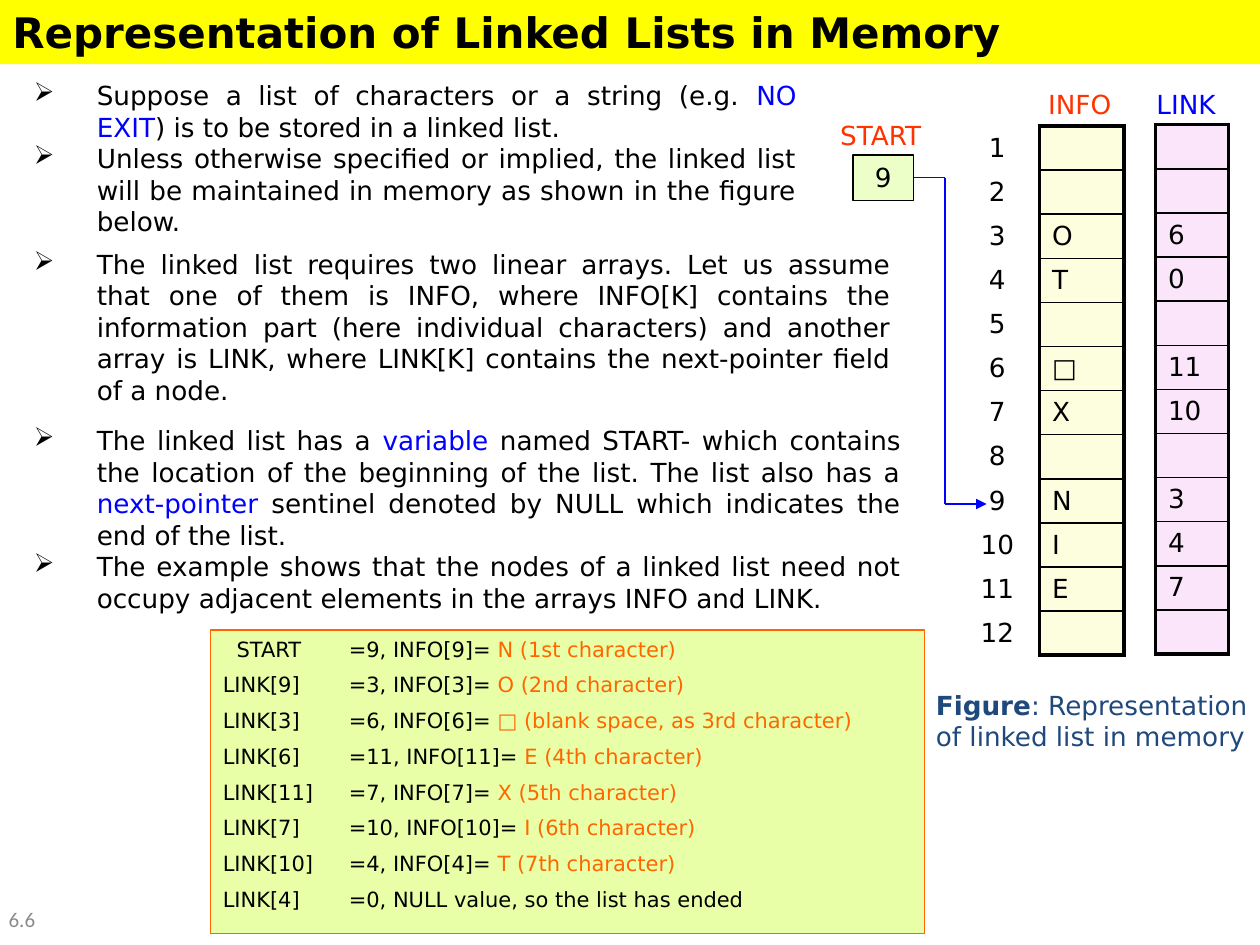
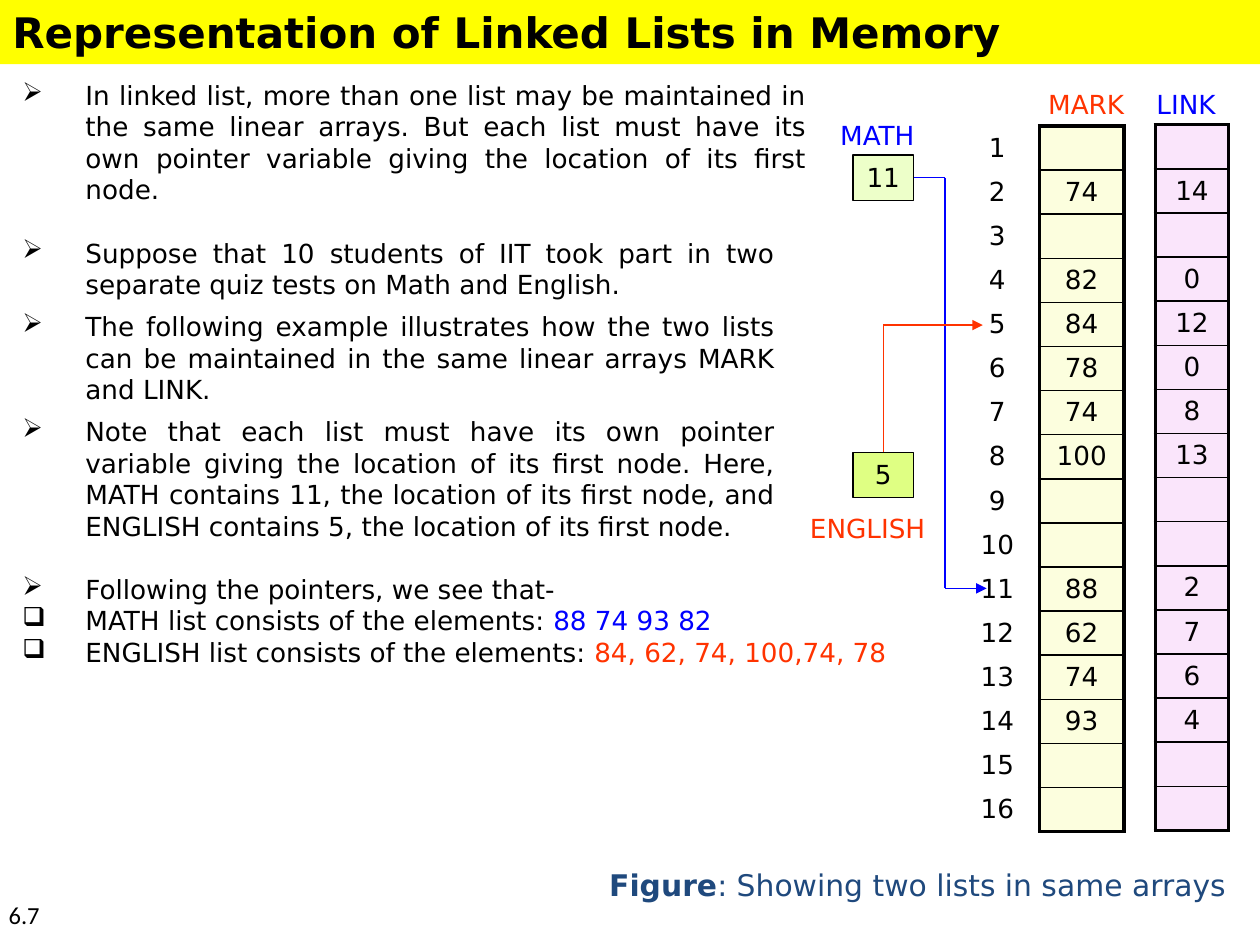
from lxml import etree
from pptx import Presentation
from pptx.dml.color import RGBColor
from pptx.enum.shapes import MSO_CONNECTOR, MSO_SHAPE
from pptx.enum.text import MSO_ANCHOR as Anchor, PP_ALIGN as Align
from pptx.oxml.ns import qn
from pptx.util import Inches, Pt

BLACK = RGBColor(0x00, 0x00, 0x00)
BLUE = RGBColor(0x00, 0x00, 0xFF)
RED = RGBColor(0xFF, 0x33, 0x00)
ORANGE = RGBColor(0xFF, 0x66, 0x00)
NAVY = RGBColor(0x1F, 0x49, 0x7D)
GRAY = RGBColor(0x8C, 0x8C, 0x8C)
YELLOW = RGBColor(0xFF, 0xFF, 0x00)
CREAM = RGBColor(0xFC, 0xFE, 0xDE)
PINK = RGBColor(0xFA, 0xE5, 0xFB)
PALE_GREEN = RGBColor(0xED, 0xFF, 0xC9)
LIME = RGBColor(0xDF, 0xFF, 0x83)
TRACE_GREEN = RGBColor(0xE8, 0xFF, 0xA7)

FONT = "DejaVu Sans"
TITLE = "Representation of Linked Lists in Memory"
ARROW, SQUARE = "➢", "❑"
ROW = 0.35
POINTER_SIZE = (0.48, 0.36)

MEMORY_TEXT = [
    ((0.17, 0.58, 6.25, 1.35), 0, [
        (ARROW, ["Suppose a list of characters or a string (e.g. ", ("NO EXIT", BLUE),
                 ") is to be stored in a linked list."]),
        (ARROW, ["Unless otherwise specified or implied, the linked list will be maintained "
                 "in memory as shown in the figure below."]),
    ]),
    ((0.17, 1.92, 7, 1.35), 0, [
        (ARROW, ["The linked list requires two linear arrays. Let us assume that one of them is "
                 "INFO, where INFO[K] contains the information part (here individual characters) "
                 "and another array is LINK, where LINK[K] contains the next-pointer field of a "
                 "node."]),
    ]),
    ((0.17, 3.32, 7.08, 1.6), 0, [
        (ARROW, ["The linked list has a ", ("variable", BLUE),
                 " named START- which contains the location of the beginning of the list. "
                 "The list also has a ", ("next-pointer", BLUE),
                 " sentinel denoted by NULL which indicates the end of the list."]),
        (ARROW, ["The example shows that the nodes of a linked list need not occupy adjacent "
                 "elements in the arrays INFO and LINK."]),
    ]),
]
TWO_LISTS_TEXT = [
    ((0.08, 0.58, 6.42, 1.1), 3, [
        (ARROW, ["In linked list, more than one list may be maintained in the same linear "
                 "arrays. But each list must have its own pointer variable giving the location "
                 "of its first node."]),
    ]),
    ((0.08, 1.83, 6.17, 2.55), 3, [
        (ARROW, ["Suppose that 10 students of IIT took part in two separate quiz tests on Math "
                 "and English."]),
        (ARROW, ["The following example illustrates how the two lists can be maintained in the "
                 "same linear arrays MARK and LINK."]),
        (ARROW, ["Note that each list must have its own pointer variable giving the location of "
                 "its first node. Here, MATH contains 11, the location of its first node, and "
                 "ENGLISH contains 5, the location of its first node."]),
    ]),
    ((0.08, 4.5, 7.5, 0.85), 0, [
        (ARROW, ["Following the pointers, we see that-"]),
        (SQUARE, ["MATH list consists of the elements: ", ("88 74 93 82", BLUE)]),
        (SQUARE, ["ENGLISH list consists of the elements: ", ("84, 62, 74, 100,74, 78", RED)]),
    ]),
]
TRACE = [
    ("START", "=9, INFO[9]= ", "N (1st character)"),
    ("LINK[9]", "=3, INFO[3]= ", "O (2nd character)"),
    ("LINK[3]", "=6, INFO[6]= ", "□ (blank space, as 3rd character)"),
    ("LINK[6]", "=11, INFO[11]= ", "E (4th character)"),
    ("LINK[11]", "=7, INFO[7]= ", "X (5th character)"),
    ("LINK[7]", "=10, INFO[10]= ", "I (6th character)"),
    ("LINK[10]", "=4, INFO[4]= ", "T (7th character)"),
    ("LINK[4]", "=0, NULL value, so the list has ended", ""),
]
INFO_CELLS = {3: "O", 4: "T", 6: "□", 7: "X", 9: "N", 10: "I", 11: "E"}
INFO_LINKS = {3: 6, 4: 0, 6: 11, 7: 10, 9: 3, 10: 4, 11: 7}
MARK_CELLS = {2: 74, 4: 82, 5: 84, 6: 78, 7: 74, 8: 100, 11: 88, 12: 62, 13: 74, 14: 93}
MARK_LINKS = {2: 14, 4: 0, 5: 12, 6: 0, 7: 8, 8: 13, 11: 2, 12: 7, 13: 6, 14: 4}


def inches(values):
    return [Inches(value) for value in values]


def style(para, size=15, color=BLACK, align=Align.LEFT, bold=False, font=FONT):
    para.alignment = align
    para.font.name = font
    para.font.size = Pt(size)
    para.font.bold = bold
    para.font.color.rgb = color


def add_spans(para, parts):
    for part in parts:
        words, color = part if isinstance(part, tuple) else (part, None)
        span = para.add_run()
        span.text = words
        if color is not None:
            span.font.color.rgb = color


def add_text(page, place, words, **look):
    box = page.shapes.add_textbox(*inches(place))
    box.text_frame.word_wrap = True
    para = box.text_frame.paragraphs[0]
    add_spans(para, [words])
    style(para, **look)
    return box


def add_box(page, place, fill, line=None):
    box = page.shapes.add_shape(MSO_SHAPE.RECTANGLE, *inches(place))
    box.shadow.inherit = False
    box.fill.solid()
    box.fill.fore_color.rgb = fill
    if line is None:
        box.line.fill.background()
    else:
        box.line.color.rgb = line
        box.line.width = Pt(0.75)
    box.text_frame.word_wrap = True
    box.text_frame.vertical_anchor = Anchor.TOP
    return box


def add_paragraphs(frame, count):
    return [frame.paragraphs[0]] + [frame.add_paragraph() for _ in range(count - 1)]


def add_bullets(page, place, gap, items):
    frame = page.shapes.add_textbox(*inches(place)).text_frame
    frame.word_wrap = True
    for index, (para, (bullet, parts)) in enumerate(
            zip(add_paragraphs(frame, len(items)), items)):
        para.level = 1
        props = para._p.get_or_add_pPr()
        props.set("marL", str(Inches(0.5)))
        props.set("indent", str(Inches(-0.5)))
        etree.SubElement(props, qn("a:buChar")).set("char", bullet)
        para.space_before = Pt(gap if index else 0)
        para.space_after = Pt(gap)
        add_spans(para, parts)
        style(para, align=Align.JUSTIFY)


def add_border(cell, side, width):
    line = etree.SubElement(cell._tc.get_or_add_tcPr(), qn("a:ln" + side), w=str(Pt(width)))
    fill = etree.SubElement(line, qn("a:solidFill"))
    etree.SubElement(fill, qn("a:srgbClr"), val=str(BLACK))


def add_column(page, left, top, width, values, fill=None, align=Align.CENTER):
    count = len(values)
    place = inches((left, top, width, ROW * count))
    table = page.shapes.add_table(count, 1, *place).table
    table.first_row = table.horz_banding = False
    for index, value in enumerate(values):
        table.rows[index].height = Inches(ROW)
        cell = table.cell(index, 0)
        cell.margin_top = cell.margin_bottom = Inches(0.02)
        cell.vertical_anchor = Anchor.MIDDLE
        if fill is None:
            cell.fill.background()
        else:
            add_border(cell, "L", 2.25)
            add_border(cell, "R", 2.25)
            add_border(cell, "T", 1 if index else 2.25)
            add_border(cell, "B", 1 if index < count - 1 else 2.25)
            cell.fill.solid()
            cell.fill.fore_color.rgb = fill
        para = cell.text_frame.paragraphs[0]
        if value != "":
            add_spans(para, [str(value)])
        style(para, align=align)


def add_arrays(page, count, heading, cells, links, align):
    slots = range(1, count + 1)
    add_column(page, 7.67, 1, 0.49, slots)
    add_column(page, 8.25, 1, 0.67, [cells.get(slot, "") for slot in slots], CREAM, align)
    add_column(page, 9.17, 0.99, 0.58, [links.get(slot, "") for slot in slots], PINK, align)
    add_text(page, (8.22, 0.65, 0.92, 0.35), heading, color=RED)
    add_text(page, (9.08, 0.65, 0.92, 0.35), "LINK", color=BLUE)


def add_pointer(page, left, top, value, fill):
    box = add_box(page, (left, top, *POINTER_SIZE), fill, BLACK)
    para = box.text_frame.paragraphs[0]
    add_spans(para, [value])
    style(para, align=Align.CENTER)
    return box


def add_path(page, box, site, points, color):
    legs = list(zip(points, points[1:]))
    for index, (start, end) in enumerate(legs):
        leg = page.shapes.add_connector(MSO_CONNECTOR.STRAIGHT, *inches(start + end))
        if index == 0:
            leg.begin_connect(box, site)
        leg.line.color.rgb = color
        leg.line.width = Pt(0.75)
        if index == len(legs) - 1:
            etree.SubElement(leg.line._get_or_add_ln(), qn("a:tailEnd"), type="triangle")
        etree.SubElement(leg._element.spPr, qn("a:effectLst"))


def add_main_pointer(page, label, color, value, target):
    box = add_pointer(page, 6.77, 1.23, value, PALE_GREEN)
    add_text(page, (6.57, 0.9, 1.13, 0.35), label, color=color)
    add_path(page, box, 3, [(7.25, 1.41), (7.5, 1.41), (7.5, target), (7.83, target)], BLUE)


def add_caption(page, place, words, size, align):
    box = add_text(page, place, "Figure", size=size, color=NAVY, align=align)
    para = box.text_frame.paragraphs[0]
    para.runs[0].font.bold = True
    add_spans(para, [words])


def add_trace(page):
    frame = add_box(page, (1.67, 5, 5.67, 2.41), TRACE_GREEN, ORANGE).text_frame
    for index, (para, (name, value, found)) in enumerate(
            zip(add_paragraphs(frame, len(TRACE)), TRACE)):
        props = para._p.get_or_add_pPr()
        props.set("marL", "0")
        props.set("indent", str(Inches(0 if index else 0.11)))
        tabs = etree.SubElement(props, qn("a:tabLst"))
        etree.SubElement(tabs, qn("a:tab"), pos=str(Inches(0.78)), algn="l")
        para.space_before = Pt(6 if index else 0)
        add_spans(para, [name + "\t" + value] + ([(found, ORANGE)] if found else []))
        style(para, size=12)


def add_page(deck, number, size, color, anchor, sections):
    page = deck.slides.add_slide(deck.slide_layouts[6])
    para = add_box(page, (0, 0, 10, 0.51), YELLOW).text_frame.paragraphs[0]
    add_spans(para, [TITLE])
    style(para, size=24, bold=True)
    footer = add_text(page, (-0.03, 7.09, 0.82, 0.41), number,
                      size=size, color=color, font="Calibri")
    footer.text_frame.vertical_anchor = anchor
    for place, gap, items in sections:
        add_bullets(page, place, gap, items)
    return page


def main():
    deck = Presentation()
    deck.slide_width, deck.slide_height = Inches(10), Inches(7.5)

    page = add_page(deck, "6.6", 12, GRAY, Anchor.MIDDLE, MEMORY_TEXT)
    add_arrays(page, 12, "INFO", INFO_CELLS, INFO_LINKS, Align.LEFT)
    add_main_pointer(page, "START", RED, "9", 4)
    add_trace(page)
    add_caption(page, (7.33, 5.42, 2.83, 0.6), ": Representation of linked list in memory",
                15, Align.LEFT)

    page = add_page(deck, "6.7", 14, BLACK, Anchor.TOP, TWO_LISTS_TEXT)
    add_arrays(page, 16, "MARK", MARK_CELLS, MARK_LINKS, Align.CENTER)
    add_main_pointer(page, "MATH", BLUE, "11", 4.67)
    english = add_pointer(page, 6.77, 3.59, "5", LIME)
    add_text(page, (6.33, 4.02, 1.29, 0.35), "ENGLISH", color=RED)
    add_path(page, english, 0, [(7.01, 3.59), (7.01, 2.58), (7.8, 2.58)], RED)
    add_caption(page, (4.57, 6.83, 5.43, 0.38), ": Showing two lists in same arrays",
                17, Align.CENTER)

    deck.save("out.pptx")


if __name__ == "__main__":
    main()
